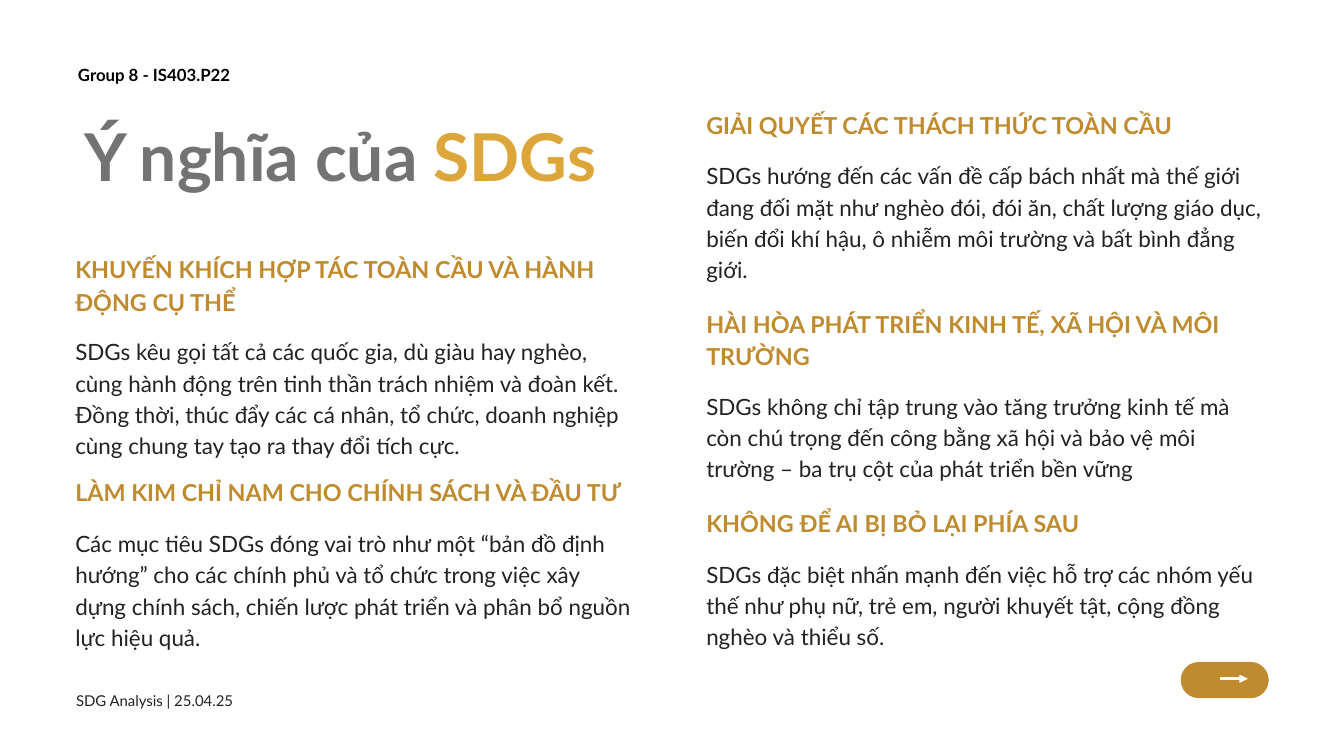
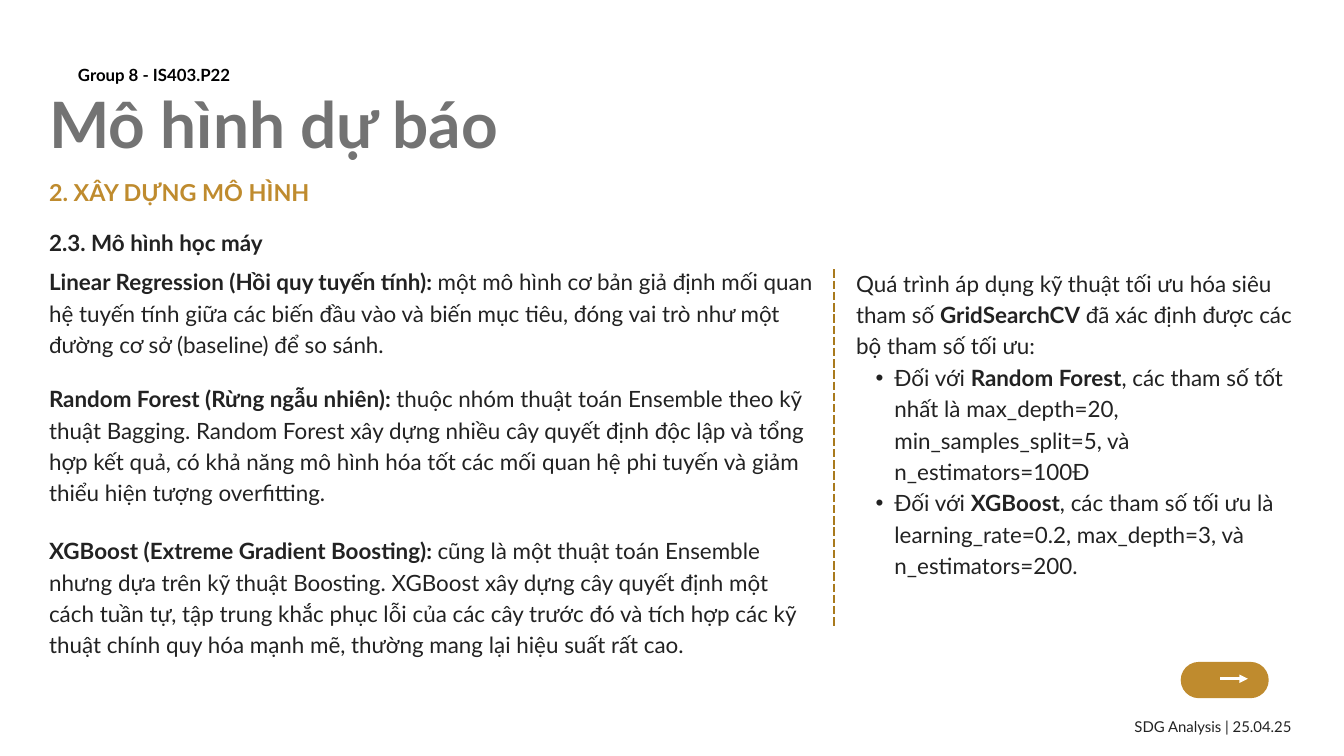
from dataclasses import dataclass

from lxml import etree
from pptx import Presentation
from pptx import util as u
from pptx.dml.color import RGBColor
from pptx.enum import dml, shapes, text
from pptx.oxml import ns


@dataclass(frozen=True)
class Style:
    size: float
    color: str
    bold: bool = False
    leading: float = 1.4


@dataclass(frozen=True)
class Theme:
    font: str = "Lato"
    white: str = "FFFFFF"
    gold: str = "BF8B2E"
    divider: str = "A97A1D"
    accent: str = "DDA63A"
    group: Style = Style(18, "000001", True, 1.2)
    meaning_title: Style = Style(70.6, "737373", True, 1.2)
    model_title: Style = Style(68.5, "737373", True, 1.2)
    heading: Style = Style(25, "BF8B2E", True)
    subheading: Style = Style(24, "222222", True)
    body: Style = Style(24, "222222")
    footer: Style = Style(16, "222222")


THEME = Theme()
TITLE_ONLY = 5


@dataclass(frozen=True)
class Span:
    words: str
    bold: bool | None = None
    color: str | None = None


@dataclass(frozen=True)
class Line:
    spans: tuple[Span, ...]
    bullet: bool = False


@dataclass(frozen=True)
class Box:
    left: float
    top: float
    width: float
    height: float

    def lengths(self) -> tuple:
        return tuple(u.Inches(n) for n in (self.left, self.top, self.width, self.height))


@dataclass(frozen=True)
class Topic:
    heading: str
    body: str
    heading_lines: int
    body_lines: int


@dataclass(frozen=True)
class Model:
    name: str
    summary: str
    top: float
    lines: int


COLUMN_WIDTH = 8.32
MODEL_LEFT = 0.73

LEFT_TOPICS = (
    Topic("KHUYẾN KHÍCH HỢP TÁC TOÀN CẦU VÀ HÀNH ĐỘNG CỤ THỂ",
          "SDGs kêu gọi tất cả các quốc gia, dù giàu hay nghèo, cùng hành động trên tinh thần "
          "trách nhiệm và đoàn kết. Đồng thời, thúc đẩy các cá nhân, tổ chức, doanh nghiệp "
          "cùng chung tay tạo ra thay đổi tích cực.", 2, 4),
    Topic("LÀM KIM CHỈ NAM CHO CHÍNH SÁCH VÀ ĐẦU TƯ",
          "Các mục tiêu SDGs đóng vai trò như một “bản đồ định hướng” cho các chính phủ và "
          "tổ chức trong việc xây dựng chính sách, chiến lược phát triển và phân bổ nguồn "
          "lực hiệu quả.", 1, 4),
)
RIGHT_TOPICS = (
    Topic("GIẢI QUYẾT CÁC THÁCH THỨC TOÀN CẦU",
          "SDGs hướng đến các vấn đề cấp bách nhất mà thế giới đang đối mặt như nghèo đói, "
          "đói ăn, chất lượng giáo dục, biến đổi khí hậu, ô nhiễm môi trường và bất bình "
          "đẳng giới.", 1, 4),
    Topic("HÀI HÒA PHÁT TRIỂN KINH TẾ, XÃ HỘI VÀ MÔI TRƯỜNG",
          "SDGs không chỉ tập trung vào tăng trưởng kinh tế mà còn chú trọng đến công bằng "
          "xã hội và bảo vệ môi trường – ba trụ cột của phát triển bền vững", 2, 3),
    Topic("KHÔNG ĐỂ AI BỊ BỎ LẠI PHÍA SAU",
          "SDGs đặc biệt nhấn mạnh đến việc hỗ trợ các nhóm yếu thế như phụ nữ, trẻ em, "
          "người khuyết tật, cộng đồng nghèo và thiểu số.", 1, 3),
)
MODELS = (
    Model("Linear Regression (Hồi quy tuyến tính): ",
          "một mô hình cơ bản giả định mối quan hệ tuyến tính giữa các biến đầu vào và biến "
          "mục tiêu, đóng vai trò như một đường cơ sở (baseline) để so sánh.", 3.93, 3),
    Model("Random Forest (Rừng ngẫu nhiên): ",
          "thuộc nhóm thuật toán Ensemble theo kỹ thuật Bagging. Random Forest xây dựng "
          "nhiều cây quyết định độc lập và tổng hợp kết quả, có khả năng mô hình hóa tốt các "
          "mối quan hệ phi tuyến và giảm thiểu hiện tượng overfitting.", 5.67, 4),
    Model("XGBoost (Extreme Gradient Boosting): ",
          "cũng là một thuật toán Ensemble nhưng dựa trên kỹ thuật Boosting. XGBoost xây dựng "
          "cây quyết định một cách tuần tự, tập trung khắc phục lỗi của các cây trước đó và "
          "tích hợp các kỹ thuật chính quy hóa mạnh mẽ, thường mang lại hiệu suất rất cao.",
          7.93, 4),
)
TUNING = (
    Line((Span("Quá trình áp dụng kỹ thuật tối ưu hóa siêu tham số "),
          Span("GridSearchCV", True),
          Span(" đã xác định được các bộ tham số tối ưu:"))),
    Line((Span("Đối với "), Span("Random Forest", True),
          Span(", các tham số tốt nhất là max_depth=20, min_samples_split=5, và "
               "n_estimators=100Đ")), bullet=True),
    Line((Span("Đối với "), Span("XGBoost", True),
          Span(", các tham số tối ưu là learning_rate=0.2, max_depth=3, và "
               "n_estimators=200.")), bullet=True),
)


def heading_height(lines: int) -> float:
    return 0.46 + 0.47 * (lines - 1)


def body_height(lines: int) -> float:
    return 0.43 + 0.46 * (lines - 1)


def add_bullet(paragraph) -> None:
    paragraph.level = 1
    properties = paragraph._p.get_or_add_pPr()
    properties.set("marL", str(u.Inches(0.57)))
    properties.set("indent", str(u.Inches(-0.28)))
    etree.SubElement(properties, ns.qn("a:buFont"), typeface="Arial")
    etree.SubElement(properties, ns.qn("a:buChar"), char="•")


def write(slide, content: str | tuple[Line, ...], *, box: Box, style: Style,
          align=text.PP_ALIGN.LEFT, holder=None) -> None:
    holder = holder or slide.shapes.add_textbox(*box.lengths())
    holder.left, holder.top, holder.width, holder.height = box.lengths()
    frame = holder.text_frame
    frame.word_wrap = True
    frame.auto_size = text.MSO_AUTO_SIZE.SHAPE_TO_FIT_TEXT
    frame.vertical_anchor = text.MSO_ANCHOR.TOP
    frame.margin_left = frame.margin_top = frame.margin_right = frame.margin_bottom = 0
    lines = (Line((Span(content),)),) if isinstance(content, str) else content
    for index, line in enumerate(lines):
        paragraph = frame.add_paragraph() if index else frame.paragraphs[0]
        if line.bullet:
            add_bullet(paragraph)
        paragraph.alignment = align
        paragraph.line_spacing = u.Pt(round(style.size * style.leading, 1))
        paragraph.space_before = paragraph.space_after = u.Pt(0)
        for span in line.spans:
            run = paragraph.add_run()
            run.text = span.words
            run.font.name = THEME.font
            run.font.size = u.Pt(style.size)
            run.font.bold = style.bold if span.bold is None else span.bold
            run.font.color.rgb = RGBColor.from_string(span.color or style.color)


def add_line(parent, start: tuple[float, float], end: tuple[float, float], color: str):
    line = parent.add_connector(shapes.MSO_CONNECTOR.STRAIGHT,
                                *(u.Inches(n) for n in (*start, *end)))
    line.line.color.rgb = RGBColor.from_string(color)
    line.line.width = u.Pt(3)
    etree.SubElement(line._element.spPr, ns.qn("a:effectLst"))
    return line


def add_next_button(slide) -> None:
    button = slide.shapes.add_group_shape().shapes
    pill = button.add_shape(shapes.MSO_SHAPE.ROUNDED_RECTANGLE,
                            *Box(17.57, 9.85, 1.31, 0.54).lengths())
    pill.adjustments[0] = 0.5
    pill.shadow.inherit = False
    pill.fill.solid()
    pill.fill.fore_color.rgb = RGBColor.from_string(THEME.gold)
    pill.line.fill.background()
    arrow = add_line(button, (18.16, 10.1), (18.57, 10.1), THEME.white)
    etree.SubElement(arrow.line._get_or_add_ln(), ns.qn("a:tailEnd"), type="triangle")


def add_page(deck, title: str | tuple[Line, ...], title_box: Box, title_style: Style,
             footer_left: float, footer_top: float):
    slide = deck.slides.add_slide(deck.slide_layouts[TITLE_ONLY])
    write(slide, title, box=title_box, style=title_style, holder=slide.shapes.title)
    write(slide, "Group 8 - IS403.P22", box=Box(1.16, 0.97, 4.98, 0.3), style=THEME.group)
    write(slide, "SDG Analysis | 25.04.25", box=Box(footer_left, footer_top, 2.35, 0.3),
          style=THEME.footer, align=text.PP_ALIGN.RIGHT)
    add_next_button(slide)
    return slide


def add_topic(slide, topic: Topic, left: float, top: float, style: Style) -> float:
    heading = Box(left, top, COLUMN_WIDTH, heading_height(topic.heading_lines))
    body = Box(left, top + heading.height + 0.31, COLUMN_WIDTH, body_height(topic.body_lines))
    write(slide, topic.heading, box=heading, style=THEME.heading)
    write(slide, topic.body, box=body, style=style)
    return body.top + body.height


def add_topics(slide, topics: tuple[Topic, ...], left: float, top: float, gap: float) -> None:
    for topic in topics:
        top = add_topic(slide, topic, left, top, THEME.body) + gap


def build_meaning(deck) -> None:
    title = (Line((Span("Ý nghĩa của "), Span("SDGs", color=THEME.accent))),)
    slide = add_page(deck, title, Box(1.25, 1.72, 8.07, 1.17), THEME.meaning_title, 1.12, 10.24)
    add_topics(slide, LEFT_TOPICS, 1.12, 3.73, 0.27)
    add_topics(slide, RIGHT_TOPICS, 10.51, 1.58, 0.38)


def build_models(deck) -> None:
    slide = add_page(deck, "Mô hình dự báo", Box(MODEL_LEFT, 1.26, 7.83, 1.14),
                     THEME.model_title, 16.87, 10.63)
    section = Topic("2. XÂY DỰNG MÔ HÌNH", "2.3. Mô hình học máy", 1, 1)
    add_topic(slide, section, MODEL_LEFT, 2.58, THEME.subheading)
    for model in MODELS:
        write(slide, (Line((Span(model.name, True), Span(model.summary))),),
              box=Box(MODEL_LEFT, model.top, 11.36, body_height(model.lines)),
              style=THEME.body)
    write(slide, TUNING, box=Box(12.74, 3.95, 6.53, body_height(10)), style=THEME.body)
    divider = add_line(slide.shapes, (12.41, 4.01), (12.41, 9.31), THEME.divider)
    divider.line.dash_style = dml.MSO_LINE.SQUARE_DOT


def main() -> None:
    deck = Presentation()
    deck.slide_width, deck.slide_height = u.Inches(20), u.Inches(11.25)
    build_meaning(deck)
    build_models(deck)
    deck.save("out.pptx")


if __name__ == "__main__":
    main()
